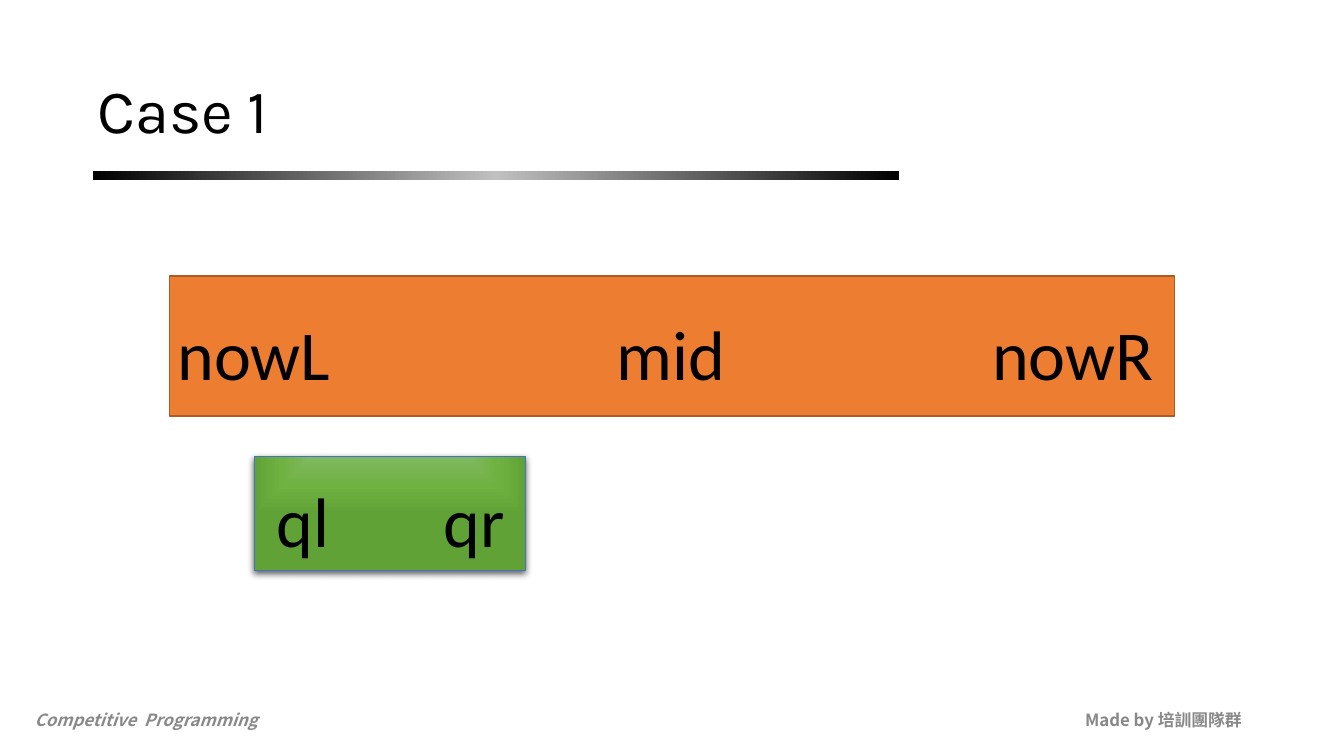
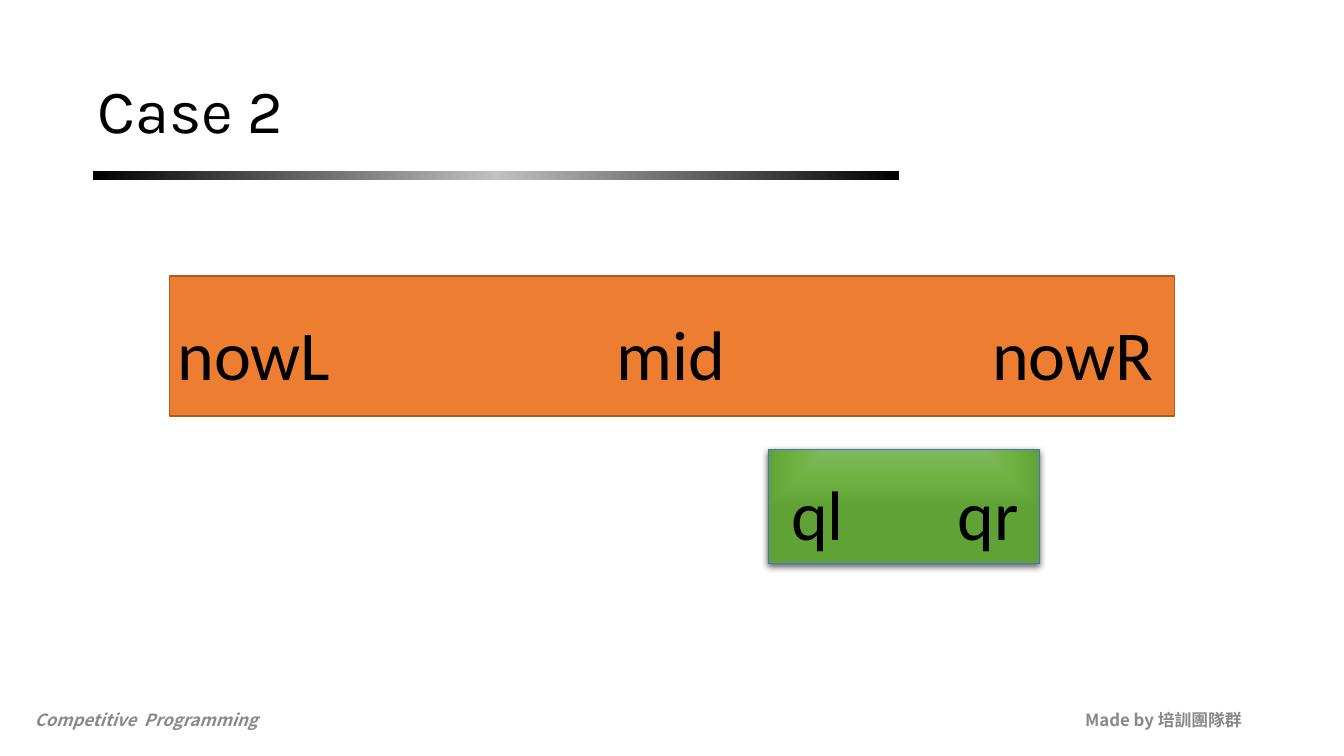
from dataclasses import dataclass

from lxml import etree
from pptx import Presentation
from pptx.dml.color import RGBColor
from pptx.enum.shapes import MSO_SHAPE
from pptx.enum.text import MSO_ANCHOR, MSO_AUTO_SIZE, PP_ALIGN
from pptx.oxml import parse_xml
from pptx.oxml.ns import qn
from pptx.util import Inches, Pt

SLIDE_WIDTH = Inches(13.33)
SLIDE_HEIGHT = Inches(7.5)
NAMESPACE = "http://schemas.openxmlformats.org/drawingml/2006/main"

BLACK = "000000"
ORANGE = "ED7D31"
DARK_ORANGE = "AD5B24"
BLUE = "4472C4"
BAR_STOPS = [(0, BLACK), (50, "C0C0C0"), (100, BLACK)]
GREEN_STOPS = [(0, "80B860"), (50, "6FB242"), (100, "61A236")]

TITLE_FONT = "Karla"
LABEL_FONT = "Calibri"
FOOTER_FONT = "Noto Sans CJK SC"
LABEL_HEIGHT = 10.8


@dataclass
class Box:
    """Left, top, width and height as percentages of the slide."""

    left: float
    top: float
    width: float
    height: float

    def lengths(self):
        return (
            int(SLIDE_WIDTH * self.left / 100),
            int(SLIDE_HEIGHT * self.top / 100),
            int(SLIDE_WIDTH * self.width / 100),
            int(SLIDE_HEIGHT * self.height / 100),
        )

    def centred_row(self, offset, width, height):
        return Box(
            self.left + self.width * offset / 100,
            self.top + (self.height - height) / 2,
            self.width * width / 100,
            height,
        )


TITLE_BOX = Box(6.9, 5.33, 86.25, 19.33)
BAR_BOX = Box(6.9, 22.67, 60, 1.2)
COURSE_BOX = Box(2.2, 93.33, 21.75, 3.87)
AUTHOR_BOX = Box(71.03, 93.33, 21.75, 3.87)
RANGE_BOX = Box(12.6, 36.53, 74.8, 18.53)
RANGE_LABELS = [("nowL", 0.3, 16.35), ("nowR", 81.35, 17.25), ("mid", 44.03, 11.94)]
QUERY_LABELS = [("ql", 6.6, 23.8), ("qr", 68, 26.8)]
CASES = [
    ("Case 1", Box(18.9, 60.4, 20.2, 15.1)),
    ("Case 2", Box(57.15, 59.47, 20.2, 15.1)),
]


def colour(value):
    return RGBColor.from_string(value)


def fill_text(shape, text, font, size, value, anchor=MSO_ANCHOR.TOP, wrap=True):
    frame = shape.text_frame
    frame.text = text
    frame.word_wrap = wrap
    frame.auto_size = MSO_AUTO_SIZE.NONE
    frame.vertical_anchor = anchor
    frame.margin_left = frame.margin_right = Inches(0.05)
    frame.margin_top = frame.margin_bottom = Inches(0.05)
    paragraph = frame.paragraphs[0]
    paragraph.alignment = PP_ALIGN.LEFT
    paragraph.font.name = font
    paragraph.font.size = Pt(size)
    paragraph.font.color.rgb = colour(value)
    return paragraph


def add_rectangle(slide, box):
    shape = slide.shapes.add_shape(MSO_SHAPE.RECTANGLE, *box.lengths())
    shape.shadow.inherit = False
    return shape


def set_gradient(shape, stops, direction):
    stop_xml = "".join(
        f'<a:gs pos="{position * 1000}"><a:srgbClr val="{value}"/></a:gs>'
        for position, value in stops
    )
    gradient = parse_xml(
        f'<a:gradFill xmlns:a="{NAMESPACE}" rotWithShape="1">'
        f"<a:gsLst>{stop_xml}</a:gsLst>{direction}</a:gradFill>"
    )
    shape.fill.background()
    properties = shape.element.spPr
    properties.replace(properties.find(qn("a:noFill")), gradient)


def set_shadow(shape):
    effects = shape.element.spPr.find(qn("a:effectLst"))
    effects.append(parse_xml(
        f'<a:outerShdw xmlns:a="{NAMESPACE}" blurRad="{Pt(5)}" dist="{Pt(1.5)}" '
        'dir="5400000" algn="ctr" rotWithShape="0"><a:srgbClr val="000000">'
        '<a:alpha val="63000"/></a:srgbClr></a:outerShdw>'
    ))


def add_footer(slide, box, text, value, alignment, italic):
    shape = slide.shapes.add_textbox(*box.lengths())
    paragraph = fill_text(shape, text, FOOTER_FONT, 12, value, MSO_ANCHOR.MIDDLE)
    paragraph.alignment = alignment
    paragraph.font.bold = True
    paragraph.font.italic = italic
    properties = paragraph.font._element
    etree.SubElement(properties, qn("a:ea")).set("typeface", FOOTER_FONT)
    return shape


def add_bar(slide, box):
    bar = add_rectangle(slide, box)
    set_gradient(bar, BAR_STOPS, '<a:lin ang="0" scaled="0"/>')
    bar.line.fill.background()
    return bar


def furnish_layout(layout, slide):
    for placeholder in list(layout.placeholders):
        if placeholder.placeholder_format.idx:
            layout.shapes.element.remove(placeholder.element)
    shared = [
        add_footer(slide, AUTHOR_BOX, "Made by 培訓團隊群", "888888", PP_ALIGN.RIGHT, False),
        add_footer(slide, COURSE_BOX, "Competitive  Programming", "898989", PP_ALIGN.LEFT, True),
        add_bar(slide, BAR_BOX),
    ]
    for shape in shared:
        layout.shapes.element.append(shape.element)


def place_title(slide, box, text):
    title = slide.shapes.title
    title.left, title.top, title.width, title.height = box.lengths()
    paragraph = fill_text(title, text, TITLE_FONT, 44, BLACK, MSO_ANCHOR.MIDDLE)
    paragraph.line_spacing = 0.9


def add_labels(slide, box, labels):
    for text, offset, width in labels:
        label_box = box.centred_row(offset, width, LABEL_HEIGHT)
        label = slide.shapes.add_textbox(*label_box.lengths())
        fill_text(label, text, LABEL_FONT, 50, BLACK, wrap=False)


def add_range(slide, box):
    band = add_rectangle(slide, box)
    band.fill.solid()
    band.fill.fore_color.rgb = colour(ORANGE)
    band.line.color.rgb = colour(DARK_ORANGE)
    band.line.width = Pt(1)
    add_labels(slide, box, RANGE_LABELS)


def add_query(slide, box):
    band = add_rectangle(slide, box)
    set_gradient(
        band,
        GREEN_STOPS,
        '<a:path path="rect"><a:fillToRect l="50000" t="-1000" r="50000" b="101000"/></a:path>',
    )
    band.line.color.rgb = colour(BLUE)
    band.line.width = Pt(0.5)
    set_shadow(band)
    add_labels(slide, box, QUERY_LABELS)


def add_case(slide, title, query_box):
    place_title(slide, TITLE_BOX, title)
    add_range(slide, RANGE_BOX)
    add_query(slide, query_box)


def main():
    presentation = Presentation()
    presentation.slide_width = SLIDE_WIDTH
    presentation.slide_height = SLIDE_HEIGHT
    layout = presentation.slide_layouts.get_by_name("Title Only")
    slides = [presentation.slides.add_slide(layout) for _ in CASES]
    furnish_layout(layout, slides[0])
    for slide, (title, query_box) in zip(slides, CASES):
        add_case(slide, title, query_box)
    presentation.save("out.pptx")


if __name__ == "__main__":
    main()
